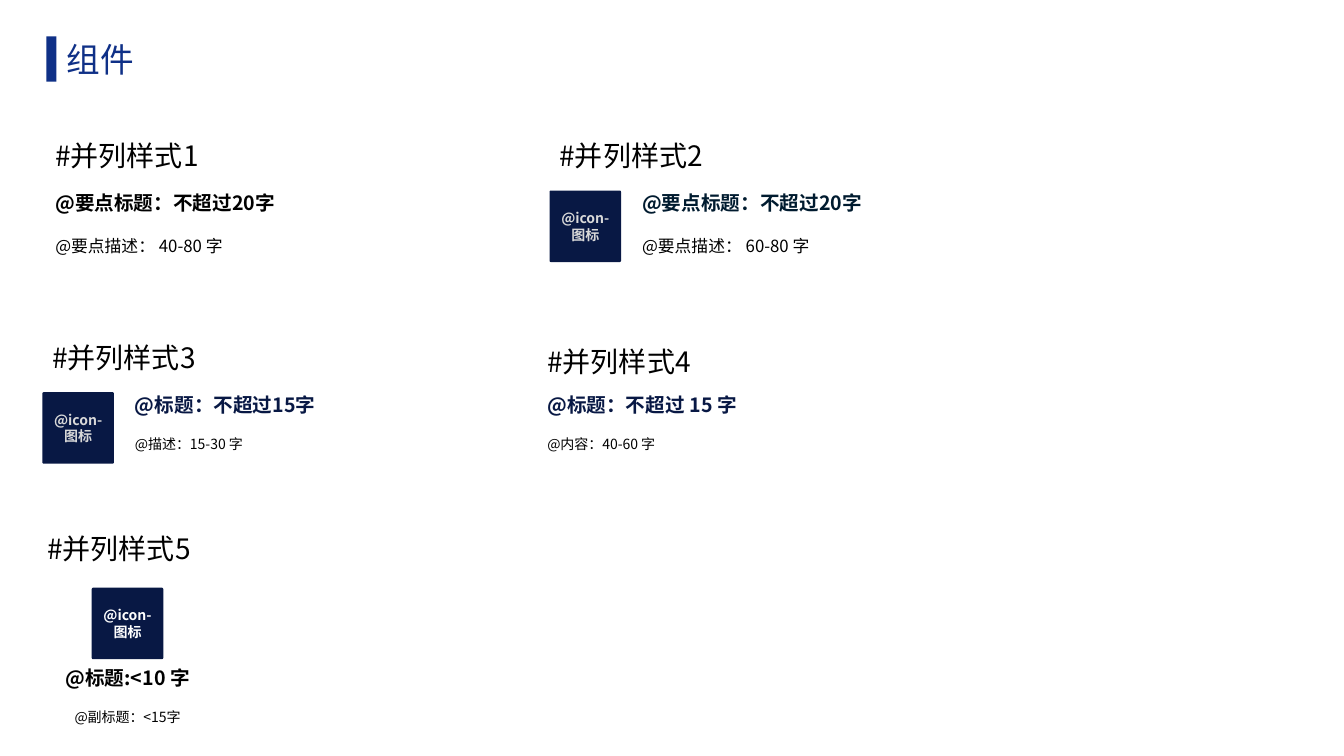
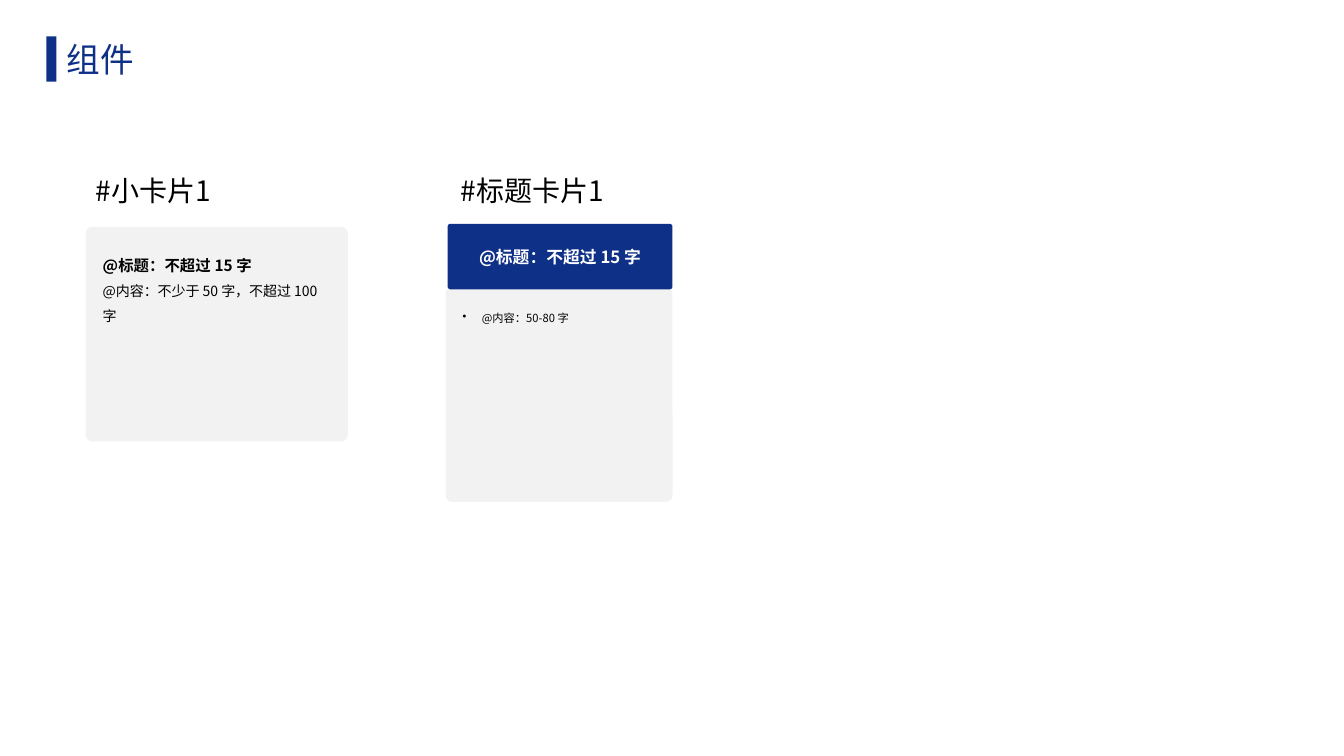
from lxml import etree
from pptx import Presentation
from pptx.dml.color import RGBColor
from pptx.enum.shapes import MSO_SHAPE
from pptx.enum.text import MSO_ANCHOR, PP_ALIGN
from pptx.oxml.ns import qn
from pptx.util import Inches, Pt

RECTANGLE, ROUNDED = MSO_SHAPE.RECTANGLE, MSO_SHAPE.ROUNDED_RECTANGLE
TOP, MIDDLE = MSO_ANCHOR.TOP, MSO_ANCHOR.MIDDLE
LEFT, CENTER = PP_ALIGN.LEFT, PP_ALIGN.CENTER
FONT = "Noto Sans CJK SC"
COLORS = {"blue": "0F3087", "navy": "081844", "ink": "001B2F", "black": "000000",
          "white": "FFFFFF", "silver": "D9D9D9", "card": "F2F2F2"}

# Sizes in inches
ICON = 0.71
HEADING_SIZE = (3.08, 0.44)
POINT_HEIGHT = 0.36
ICON_STEP, ICON_DROP = 0.82, 0.06

# Content: heading and its place; point text and its place, width and colour;
# description, its height and size; icon text colour (None for no icon)
PAGE_TITLE = "组件"
ICON_TEXT = "@icon-图标"
PARALLEL_STYLES = [
    {"heading": ("#并列样式1", 0.45, 1.33), "point": ("@要点标题：不超过20字", 0.45, 1.83, 6.27, "black"),
     "description": ("@要点描述： 40-80 字", 0.97, 12), "icon": None},
    {"heading": ("#并列样式2", 5.45, 1.33), "point": ("@要点标题：不超过20字", 6.27, 1.83, 5.73, "ink"),
     "description": ("@要点描述： 60-80 字", 0.97, 12), "icon": "silver"},
    {"heading": ("#并列样式3", 0.42, 3.33), "point": ("@标题：不超过15字", 1.24, 3.83, 3.28, "navy"),
     "description": ("@描述：15-30 字", 0.53, 10), "icon": "silver"},
    {"heading": ("#并列样式4", 5.33, 3.37), "point": ("@标题：不超过 15 字", 5.33, 3.83, 3.07, "navy"),
     "description": ("@内容：40-60 字", 0.79, 10), "icon": None},
    {"heading": ("#并列样式5", 0.37, 5.22), "point": ("@标题:<10 字", 0.37, 6.54, 1.79, "black"),
     "description": ("@副标题：<15字", 0.53, 10), "icon": "white", "stacked": True},
]
SMALL_CARD = {"heading": "#小卡片1", "title": "@标题：不超过 15 字",
              "body": "@内容：不少于 50 字，不超过 100 字"}
TITLE_CARD = {"heading": "#标题卡片1", "title": "@标题：不超过 15 字",
              "body": "@内容：50-80 字"}


def write(shape, text, size, color="black", bold=False, align=LEFT, anchor=TOP, spacing=None):
    """Fill a shape with one formatted paragraph and return the paragraph."""
    frame = shape.text_frame
    frame.word_wrap = True
    frame.vertical_anchor = anchor
    frame.text = text
    paragraph = frame.paragraphs[0]
    paragraph.alignment = align
    if spacing:
        paragraph.line_spacing = spacing
    font = paragraph.font
    font.size, font.bold, font.name = Pt(size), bold, FONT
    font.color.rgb = RGBColor.from_string(COLORS[color])
    # East Asian characters need their own typeface entry
    properties = paragraph._p.pPr.find(qn("a:defRPr"))
    etree.SubElement(properties, qn("a:ea")).set("typeface", FONT)
    return paragraph


def add_text(shapes, box, text, size, **style):
    return write(shapes.add_textbox(*map(Inches, box)), text, size, **style)


def add_block(shapes, box, fill, kind=ROUNDED, radius=None):
    block = shapes.add_shape(kind, *map(Inches, box))
    block.shadow.inherit = False
    block.fill.solid()
    block.fill.fore_color.rgb = RGBColor.from_string(COLORS[fill])
    block.line.fill.background()
    if radius is not None:
        block.adjustments[0] = radius
    return block


def add_heading(shapes, text, left, top):
    add_text(shapes, (left, top, *HEADING_SIZE), text, 20)


def add_page(presentation):
    """Add a slide with the shared accent bar and title."""
    slide = presentation.slides.add_slide(presentation.slide_layouts[5])
    add_block(slide.shapes, (0.46, 0.36, 0.1, 0.45), "blue", kind=RECTANGLE)
    title = slide.shapes.title
    title.left, title.top, title.width, title.height = map(Inches, (0.56, 0.28, 12.22, 0.61))
    write(title, PAGE_TITLE, 24, color="blue", anchor=MIDDLE)
    return slide


def add_parallel_style(slide, heading, point, description, icon, stacked=False):
    shapes = slide.shapes.add_group_shape().shapes
    align = CENTER if stacked else LEFT
    text, left, top, width, color = point
    detail, detail_height, detail_size = description
    add_heading(shapes, *heading)
    add_text(shapes, (left, top + POINT_HEIGHT, width, detail_height), detail, detail_size,
             align=align, spacing=1.5)
    add_text(shapes, (left, top, width, POINT_HEIGHT), text, 14, color=color, bold=True,
             align=align, anchor=MIDDLE)
    if icon:
        # The icon sits above the centred text, or to the left of it
        place = ((left + (width - ICON) / 2, top - ICON) if stacked
                 else (left - ICON_STEP, top + ICON_DROP))
        tile = add_block(shapes, (*place, ICON, ICON), "navy", radius=0.02)
        write(tile, ICON_TEXT, 10, color=icon, bold=True, align=CENTER, anchor=MIDDLE)


def add_small_card(slide, heading, title, body):
    shapes = slide.shapes.add_group_shape().shapes
    add_block(shapes, (0.85, 2.25, 2.6, 2.13), "card", radius=0.03)
    add_text(shapes, (0.92, 2.67, 2.39, 1.5), body, 10, spacing=1.5)
    add_text(shapes, (0.92, 2.4, 2.49, 0.38), title, 11, bold=True, spacing=1.5)
    add_heading(shapes, heading, 0.85, 1.67)


def add_title_card(slide, heading, title, body):
    shapes = slide.shapes.add_group_shape().shapes
    card = add_block(shapes, (4.42, 2.85, 2.25, 2.13), "card", radius=0.03)
    frame = card.text_frame
    frame.margin_left = frame.margin_right = frame.margin_top = frame.margin_bottom = Inches(0.15)
    paragraph = write(card, body, 8, spacing=1.5)
    # Bullet with a hanging indent
    properties = paragraph._p.pPr
    indent = Inches(0.19)
    properties.set("marL", str(indent))
    properties.set("indent", str(-indent))
    bullet = etree.Element(qn("a:buChar"), char="•")
    properties.find(qn("a:defRPr")).addprevious(bullet)
    header = add_block(shapes, (4.44, 2.22, 2.23, 0.65), "blue", radius=0.04)
    write(header, title, 12, color="white", bold=True, align=CENTER, anchor=MIDDLE)
    add_heading(shapes, heading, 4.47, 1.67)


def main():
    presentation = Presentation()
    presentation.slide_width, presentation.slide_height = Inches(13.33), Inches(7.5)
    # Parallel styles
    slide = add_page(presentation)
    for style in PARALLEL_STYLES:
        add_parallel_style(slide, **style)
    # Cards
    slide = add_page(presentation)
    add_small_card(slide, **SMALL_CARD)
    add_title_card(slide, **TITLE_CARD)
    presentation.save("out.pptx")


if __name__ == "__main__":
    main()
